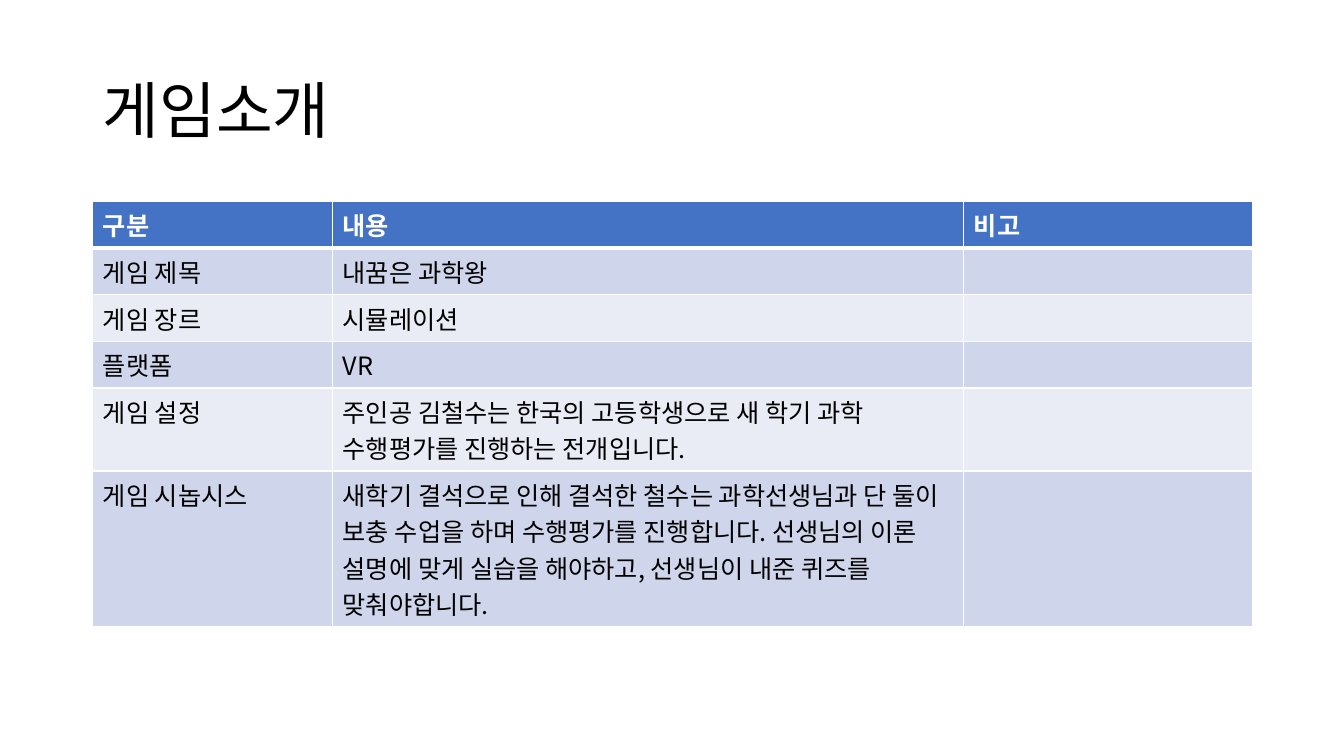
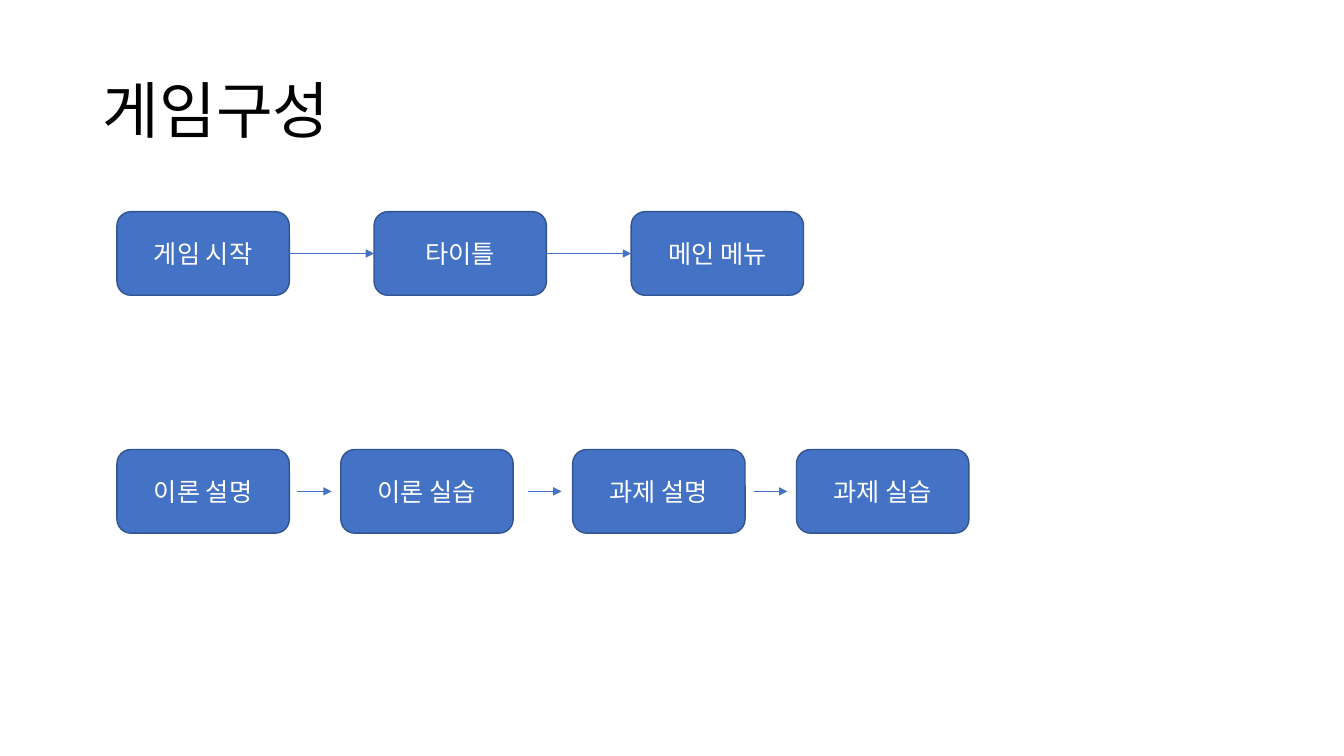
from lxml.etree import SubElement
from pptx import Presentation
from pptx.dml.color import RGBColor
from pptx.enum.shapes import MSO_CONNECTOR, MSO_SHAPE
from pptx.enum.text import MSO_ANCHOR, MSO_AUTO_SIZE, PP_ALIGN
from pptx.oxml.ns import qn
from pptx.util import Inches, Pt

# Shared look
FONT = "Noto Sans CJK KR"
COLORS = {
    "text": "000000",
    "white": "FFFFFF",
    "accent": "4472C4",
    "outline": "325491",
    "band_dark": "CFD5EA",
    "band_light": "E9EBF5",
}
RGB = {name: RGBColor.from_string(value) for name, value in COLORS.items()}
TITLE_FRAME = {"left": Inches(0.92), "top": Inches(0.4),
               "width": Inches(11.5), "height": Inches(1.45)}
TITLE_TEXT = {"anchor": MSO_ANCHOR.MIDDLE, "word_wrap": True,
              "auto_size": MSO_AUTO_SIZE.NONE}


def write(paragraph, text, size, color, bold=False, align=PP_ALIGN.LEFT):
    paragraph.alignment = align
    run = paragraph.add_run()
    run.text = text
    for key, value in {"size": Pt(size), "bold": bold, "name": FONT}.items():
        setattr(run.font, key, value)
    run.font.color.rgb = RGB[color]
    SubElement(run.font._element, qn("a:ea"), typeface=FONT)


def add_titled_slide(title):
    slide = deck.slides.add_slide(deck.slide_layouts[5])
    heading = slide.shapes.title
    for key, value in TITLE_FRAME.items():
        setattr(heading, key, value)
    for key, value in TITLE_TEXT.items():
        setattr(heading.text_frame, key, value)
    paragraph = heading.text_frame.paragraphs[0]
    paragraph.line_spacing = 0.9
    write(paragraph, title, 44, "text")
    return slide


deck = Presentation()
deck.slide_width, deck.slide_height = Inches(13.33), Inches(7.5)

# Slide 1: game introduction table
intro = add_titled_slide("게임소개")
INTRO_ROWS = [
    ("구분", "내용", "비고"),
    ("게임 제목", "내꿈은 과학왕", ""),
    ("게임 장르", "시뮬레이션", ""),
    ("플랫폼", "VR", ""),
    ("게임 설정", "주인공 김철수는 한국의 고등학생으로 새 학기 과학 "
     "수행평가를 진행하는 전개입니다.", ""),
    ("게임 시놉시스", "새학기 결석으로 인해 결석한 철수는 과학선생님과 단 둘이 "
     "보충 수업을 하며 수행평가를 진행합니다. 선생님의 이론 설명에 맞게 "
     "실습을 해야하고, 선생님이 내준 퀴즈를 맞춰야합니다.", ""),
]
COLUMN_WIDTHS = (2.38, 6.26, 2.86)
ROW_HEIGHT = 0.41

overview = intro.shapes.add_table(
    len(INTRO_ROWS), len(COLUMN_WIDTHS), Inches(0.92), Inches(2),
    Inches(sum(COLUMN_WIDTHS)), Inches(ROW_HEIGHT * len(INTRO_ROWS))).table
for column, width in zip(overview.columns, COLUMN_WIDTHS):
    column.width = Inches(width)

for r, texts in enumerate(INTRO_ROWS):
    overview.rows[r].height = Inches(ROW_HEIGHT)
    is_header = r == 0
    band = "accent" if is_header else ("band_light", "band_dark")[r % 2]
    # The rule under the header is thicker than the others
    borders = {"lnL": 1, "lnR": 1, "lnT": 3 if r == 1 else 1,
               "lnB": 3 if is_header else 1}
    for c, text in enumerate(texts):
        cell = overview.cell(r, c)
        properties = cell._tc.get_or_add_tcPr()
        for side, points in borders.items():
            border = SubElement(properties, qn(f"a:{side}"), w=str(Pt(points)))
            border_fill = SubElement(border, qn("a:solidFill"))
            SubElement(border_fill, qn("a:srgbClr"), val=COLORS["white"])
        cell.fill.solid()
        cell.fill.fore_color.rgb = RGB[band]
        if text:
            write(cell.text_frame.paragraphs[0], text, 18,
                  "white" if is_header else "text", bold=is_header)

# Slide 2: game structure flows
structure = add_titled_slide("게임구성")
STEP_WIDTH, STEP_HEIGHT = 1.71, 0.83
# Each flow: top, steps with their left edges, arrows as (start, end)
FLOWS = [
    (2.1, {"게임 시작": 1.16, "타이틀": 3.71, "메인 메뉴": 6.26},
     [(2.87, 3.71), (5.42, 6.26)]),
    (4.46, {"이론 설명": 1.16, "이론 실습": 3.38, "과제 설명": 5.68, "과제 실습": 7.9},
     [(2.95, 3.29), (5.24, 5.57), (7.48, 7.81)]),
]

for top, steps, arrows in FLOWS:
    for label, left in steps.items():
        step = structure.shapes.add_shape(
            MSO_SHAPE.ROUNDED_RECTANGLE, Inches(left), Inches(top),
            Inches(STEP_WIDTH), Inches(STEP_HEIGHT))
        step.shadow.inherit = False
        step.fill.solid()
        step.fill.fore_color.rgb = RGB["accent"]
        step.line.color.rgb = RGB["outline"]
        step.line.width = Pt(1)
        step.text_frame.vertical_anchor = MSO_ANCHOR.MIDDLE
        write(step.text_frame.paragraphs[0], label, 18, "white",
              align=PP_ALIGN.CENTER)

    middle = Inches(top + STEP_HEIGHT / 2)
    for start, end in arrows:
        arrow = structure.shapes.add_connector(
            MSO_CONNECTOR.STRAIGHT, Inches(start), middle, Inches(end), middle)
        arrow.line.color.rgb = RGB["accent"]
        arrow.line.width = Pt(0.5)
        SubElement(arrow.line._get_or_add_ln(), qn("a:tailEnd"), type="triangle")
        SubElement(arrow._element.spPr, qn("a:effectLst"))

deck.save("out.pptx")
